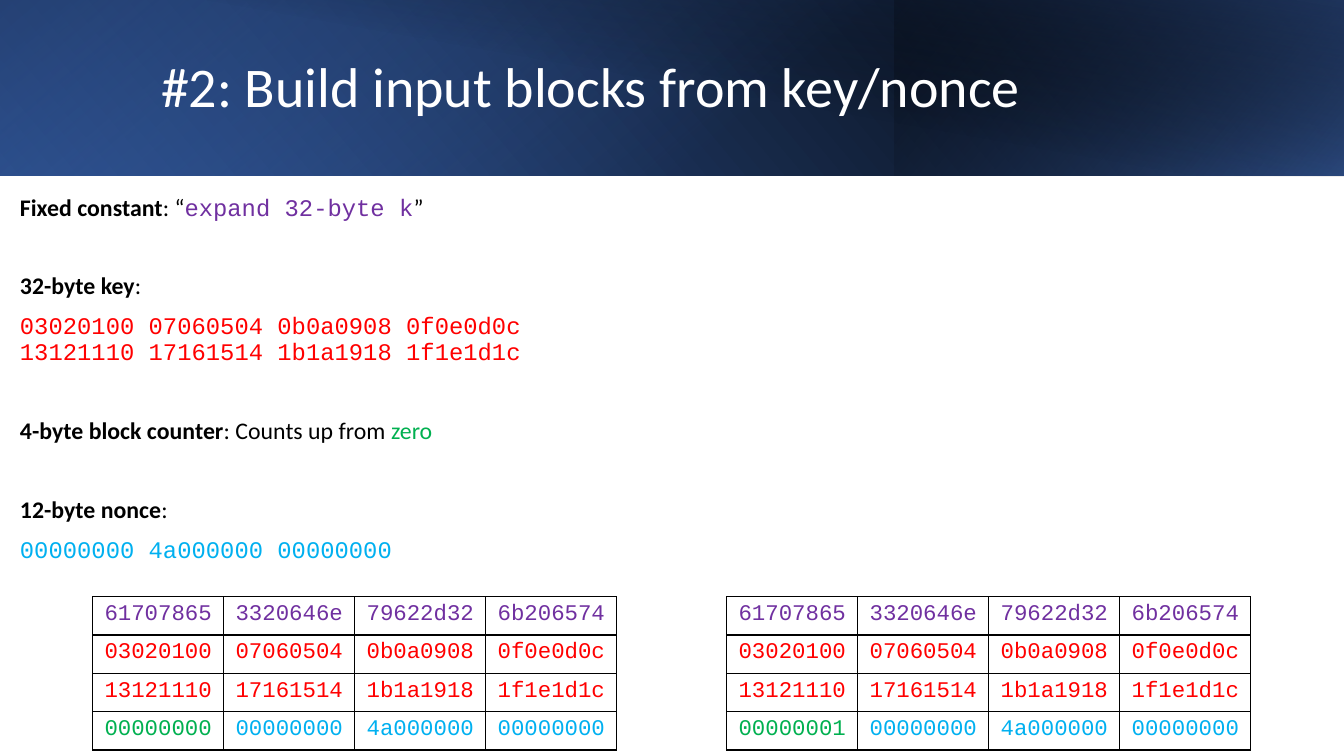
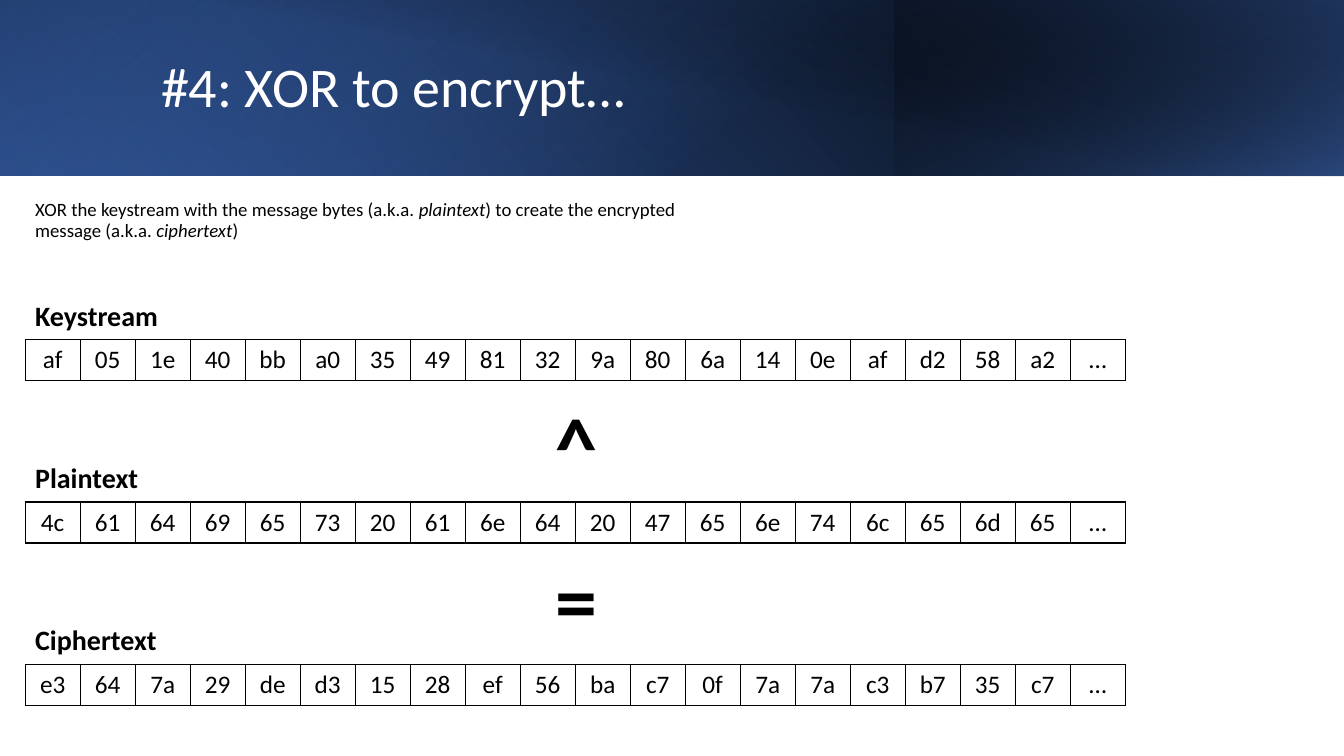
from pptx import Presentation
from pptx.dml.color import RGBColor
from pptx.enum.shapes import MSO_SHAPE
from pptx.enum.text import MSO_ANCHOR, PP_ALIGN
from pptx.oxml import parse_xml
from pptx.oxml.ns import nsdecls, qn
from pptx.util import Pt

WIDE, HIGH = 960, 540
BLACK, WHITE = "000000", "FFFFFF"
PURPLE, RED, GREEN, BLUE = "7030A0", "FF0000", "00B050", "00B0F0"
SANS, MONO = "Calibri", "Courier New"
BARE = "{2D5ABB26-0587-4C30-8999-92F81FD0307C}"

# Band layers: box, turn, flip, angle, stops of (place, colour, alpha)
BAND = [
    ((0, 0, 960, 125.3), 0, True, 40, [(0, BLACK, 100), (100, "2F5597", 100)]),
    ((0, 0, 638.7, 125.3), 180, True, 130, [(20, "4472C4", 0), (100, "203864", 55)]),
    ((638.7, 0, 321.3, 125.3), 0, True, 320, [(0, "4472C4", 66), (100, BLACK, 30)]),
    ((36, 0, 924, 126), 0, False, 280, [(50, BLACK, 0), (100, "203864", 52)]),
]


def tint(code):
    return RGBColor.from_string(code)


def put(item, style):
    for name, value in style.items():
        setattr(item, name, value)


def write(para, runs, size, **base):
    """Fill a paragraph with (text, format) runs."""
    for text, extra in runs:
        style = {"name": SANS, "color": BLACK, **base, **extra}
        run = para.add_run()
        run.text = text
        run.font.size = Pt(size)
        run.font.color.rgb = tint(style.pop("color"))
        put(run.font, style)


def add_text(slide, box, paras, size, align=PP_ALIGN.LEFT, line=0.9,
             anchor=MSO_ANCHOR.TOP, **base):
    """Place a text box; paras holds (space before, runs)."""
    frame = slide.shapes.add_textbox(*map(Pt, box)).text_frame
    put(frame, {"word_wrap": True, "vertical_anchor": anchor})
    for i, (gap, runs) in enumerate(paras):
        para = frame.add_paragraph() if i else frame.paragraphs[0]
        put(para, {"alignment": align, "line_spacing": line, "space_before": Pt(gap)})
        write(para, runs, size, **base)


def add_layer(slide, box, turn, flip, angle, stops):
    """Place one shaded layer of the title band."""
    shape = slide.shapes.add_shape(MSO_SHAPE.RECTANGLE, *map(Pt, box))
    shape.shadow.inherit = False
    shape.line.fill.background()
    shape.rotation = turn
    props = shape.element.spPr
    form = props.find(qn("a:xfrm"))
    if flip:
        form.set("flipH", "1")
    marks = "".join(
        f'<a:gs pos="{place * 1000}"><a:srgbClr val="{code}">'
        f'<a:alpha val="{alpha * 1000}"/></a:srgbClr></a:gs>'
        for place, code, alpha in stops)
    props.find(qn("a:prstGeom")).addnext(parse_xml(
        f'<a:gradFill {nsdecls("a")} rotWithShape="1"><a:gsLst>{marks}</a:gsLst>'
        f'<a:lin ang="{angle * 60000}" scaled="0"/></a:gradFill>'))


def add_page(deck, title):
    """Start a slide with the shared band and title."""
    slide = deck.slides.add_slide(deck.slide_layouts[6])
    for layer in BAND:
        add_layer(slide, *layer)
    add_text(slide, (108, 23, 779, 81.4), [(0, [(title, {})])], 40,
             anchor=MSO_ANCHOR.MIDDLE, color=WHITE)
    return slide


def edge(cell, sides):
    props = cell._tc.get_or_add_tcPr()
    for i, side in enumerate(sides):
        props.insert(i, parse_xml(
            f'<a:ln{side} {nsdecls("a")} w="12192"><a:solidFill>'
            f'<a:srgbClr val="{BLACK}"/></a:solidFill></a:ln{side}>'))


def add_grid(slide, left, top, wides, high, rows, size, font):
    """Place a table; rows hold (text, colour), empty text is a gap."""
    frame = slide.shapes.add_table(len(rows), len(wides), Pt(left), Pt(top),
                                   Pt(sum(wides)), Pt(high * len(rows)))
    table = frame.table
    put(table, {"first_row": False, "horz_banding": False})
    table._tbl.tblPr.find(qn("a:tableStyleId")).text = BARE
    for col, wide in zip(table.columns, wides):
        col.width = Pt(wide)
    for r, row in enumerate(rows):
        table.rows[r].height = Pt(high)
        for c, (text, code) in enumerate(row):
            cell = table.cell(r, c)
            cell.fill.background()
            edge(cell, "LRTB" if text else "LR")
            para = cell.text_frame.paragraphs[0]
            para.alignment = PP_ALIGN.CENTER
            if text:
                write(para, [(text, {})], size, name=font, color=code)
            else:
                para.font.size = Pt(size)


def state(count):
    """Give the four rows of one input block."""
    key = ["03020100 07060504 0b0a0908 0f0e0d0c",
           "13121110 17161514 1b1a1918 1f1e1d1c"]
    rows = [[(word, code) for word in line.split()]
            for line, code in [("61707865 3320646e 79622d32 6b206574", PURPLE),
                               (key[0], RED), (key[1], RED)]]
    nonce = [(word, BLUE) for word in "00000000 4a000000 00000000".split()]
    return rows + [[(count, GREEN)] + nonce]


def add_build(deck):
    slide = add_page(deck, "#2: Build input blocks from key/nonce")
    bold = {"bold": True}

    def code(text, hue):
        return text, {"name": MONO, "color": hue}

    # Inputs
    near, far = 10, 38
    blocks = [state("00000000"), state("00000001")]
    lines = [" ".join(word for word, _ in row) for row in blocks[0]]
    add_text(slide, (7.2, 136.1, 446.4, 290), [
        (0, [("Fixed constant", bold), (": “", {}),
             code("expand 32-byte k", PURPLE), ("”", {})]),
        (far, [("32-byte key", bold), (":", {})]),
        (near, [code(lines[1], RED)]),
        (0, [code(lines[2], RED)]),
        (far, [("4-byte block counter", bold), (": Counts up from ", {}),
               ("zero", {"color": GREEN})]),
        (far, [("12-byte nonce", bold), (":", {})]),
        (near, [code("00000000 4a000000 00000000", BLUE)]),
    ], 17)

    # Two blocks with a gap between
    rows = [one + [("", BLACK)] + two for one, two in zip(*blocks)]
    wides = [93.6] * 4 + [78.5] + [93.6] * 4
    add_grid(slide, 66.2, 426.2, wides, 27.4, rows, 16, MONO)


def add_bytes(slide, left, top, label, data):
    """Place a label and its row of bytes."""
    row = [(word, BLACK) for word in data.split()]
    add_grid(slide, left, top, [39.3] * len(row), 29.2, [row], 18, SANS)
    add_text(slide, (left, top - 30.5, 243, 29), [(0, [(label, {})])], 20, bold=True)


def add_xor(deck):
    slide = add_page(deck, "#4: XOR to encrypt…")
    slant = {"italic": True}
    add_text(slide, (18, 139.7, 514.8, 56.2), [(0, [
        ("XOR the keystream with the message bytes (a.k.a. ", {}),
        ("plaintext", slant),
        (") to create the encrypted message (a.k.a. ", {}),
        ("ciphertext", slant), (")", {})])], 13.4)

    # Byte rows
    rows = [
        ("Keystream", "af 05 1e 40 bb a0 35 49 81 32 9a 80 6a 14 0e af d2 58 a2 …"),
        ("Plaintext", "4c 61 64 69 65 73 20 61 6e 64 20 47 65 6e 74 6c 65 6d 65 …"),
        ("Ciphertext", "e3 64 7a 29 de d3 15 28 ef 56 ba c7 0f 7a 7a c3 b7 35 c7 …"),
    ]
    for i, (label, data) in enumerate(rows):
        add_bytes(slide, 18, 242.6 + 116 * i, label, data)

    # Signs between the rows
    for sign, top in [("^", 277.2), ("=", 387.4)]:
        add_text(slide, (381.6, top, 59.8, 79.2), [(0, [(sign, {})])], 60,
                 align=PP_ALIGN.CENTER, line=1.0, bold=True)


def main():
    deck = Presentation()
    put(deck, {"slide_width": Pt(WIDE), "slide_height": Pt(HIGH)})
    add_build(deck)
    add_xor(deck)
    deck.save("out.pptx")


if __name__ == "__main__":
    main()
